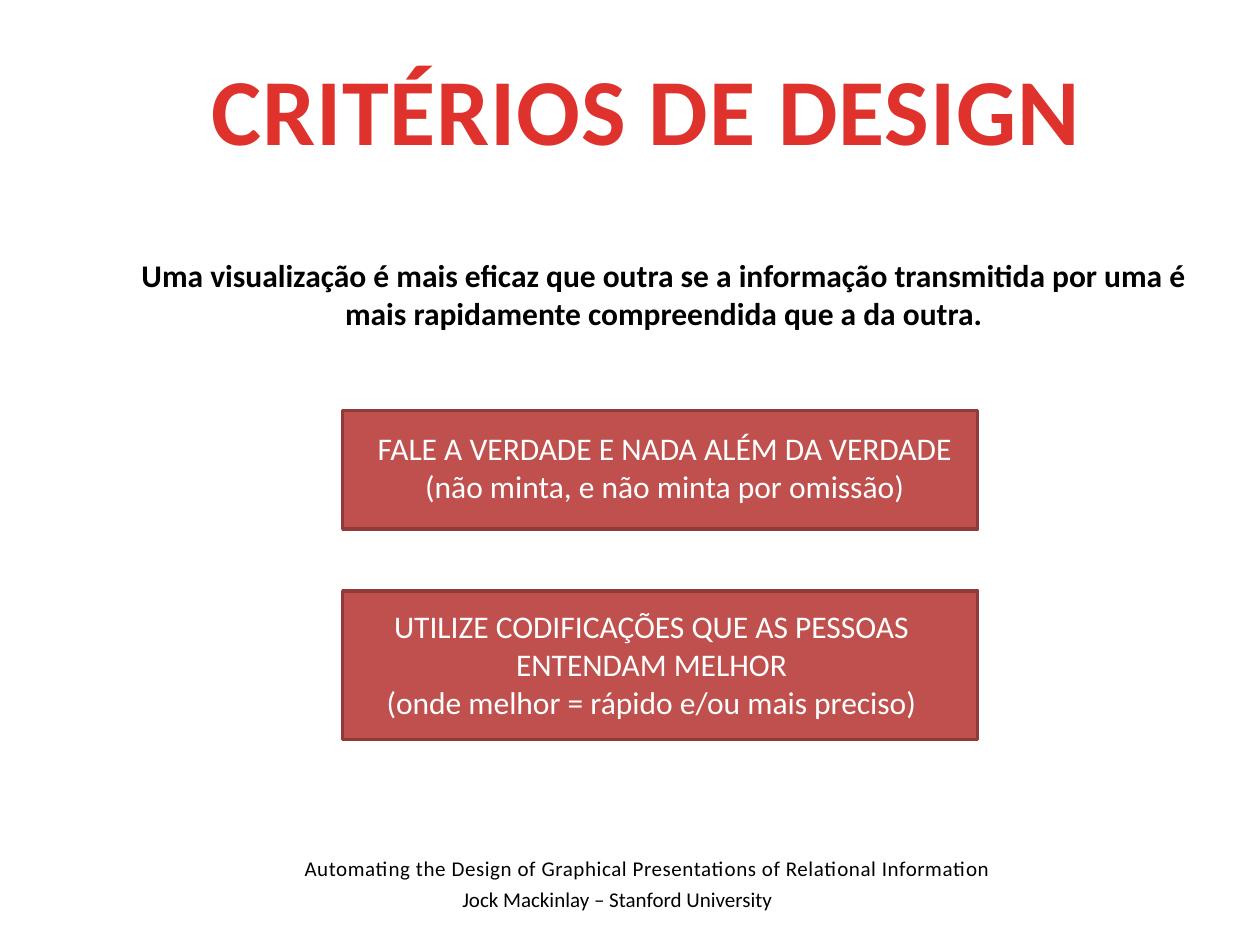
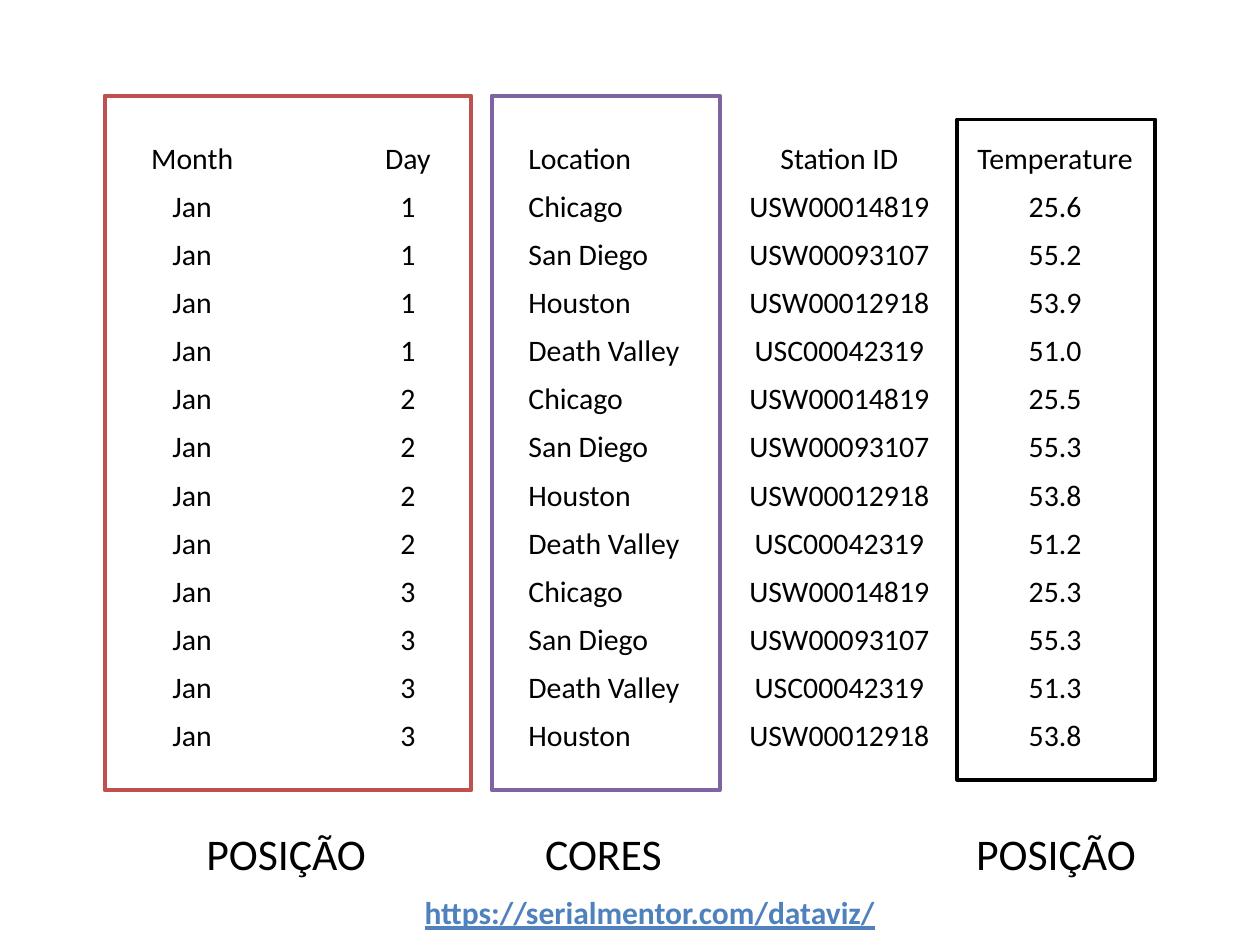
from pptx import Presentation
from pptx.dml.color import RGBColor
from pptx.enum.shapes import MSO_SHAPE as Preset
from pptx.enum.text import MSO_ANCHOR as Anchor, MSO_AUTO_SIZE as AutoSize, PP_ALIGN as Align
from pptx.util import Cm, Pt

BLACK = RGBColor(0x00, 0x00, 0x00)
WHITE = RGBColor(0xFF, 0xFF, 0xFF)
RED = RGBColor(0xC0, 0x50, 0x4D)
DARK_RED = RGBColor(0x8E, 0x3B, 0x39)
PURPLE = RGBColor(0x80, 0x64, 0xA2)
LINK_BLUE = RGBColor(0x4F, 0x81, 0xBD)
TITLE_STOPS = (
    (0.25, RGBColor(0xE0, 0x32, 0x2D)),
    (1.0, RGBColor(0xA2, 0x20, 0x1C)),
)

FONT_NAME = "Calibri"
PLAIN_TABLE_STYLE = "{2D5ABB26-0587-4C30-8999-92F81FD0307C}"

TITLE = dict(size=Pt(54), bold=True)
BODY = dict(size=Pt(18))
STRONG = dict(size=Pt(18), bold=True)
LINK = dict(size=Pt(18), bold=True, underline=True)
CITATION = dict(size=Pt(12))
CELL = dict(size=Pt(17))
LABEL = dict(size=Pt(25))

CARD_LEFT, CARD_WIDTH = 6.91, 12.8
FRAME_TOP, FRAME_HEIGHT = 1.93, 14
LABEL_TOP, LABEL_HEIGHT = 16.54, 1.32
COLUMN_WIDTH, ROW_HEIGHT = 4.35, 0.97

HEADERS = ("Month", "Day", "Location", "Station ID", "Temperature")
STATIONS = {
    "Chicago": "USW00014819",
    "San Diego": "USW00093107",
    "Houston": "USW00012918",
    "Death Valley": "USC00042319",
}
DAILY_TEMPERATURES = (
    {"Chicago": "25.6", "San Diego": "55.2", "Houston": "53.9", "Death Valley": "51.0"},
    {"Chicago": "25.5", "San Diego": "55.3", "Houston": "53.8", "Death Valley": "51.2"},
    {"Chicago": "25.3", "San Diego": "55.3", "Death Valley": "51.3", "Houston": "53.8"},
)


class Deck:
    """Holds the presentation, its text style and the slide being filled."""

    def __init__(self):
        self.presentation = Presentation()
        self.presentation.slide_width = Cm(25.4)
        self.presentation.slide_height = Cm(19.05)
        self.slide = None

    def new_slide(self):
        self.slide = self.presentation.slides.add_slide(self.presentation.slide_layouts[6])

    def fill_frame(self, frame, lines, style, color=BLACK, align=Align.LEFT):
        """Fill a text frame, one paragraph for each line."""
        for index, line in enumerate(lines):
            paragraph = frame.paragraphs[0] if index == 0 else frame.add_paragraph()
            paragraph.alignment = align
            run = paragraph.add_run()
            run.text = line
            run.font.name = FONT_NAME
            for name, value in style.items():
                setattr(run.font, name, value)
            run.font.color.rgb = color

    def text(self, box, lines, style, color=BLACK, align=Align.LEFT, wrap=True, spacing=0):
        """Add a text box; spacing is the letter spacing in points."""
        frame = self.slide.shapes.add_textbox(*map(Cm, box)).text_frame
        frame.word_wrap = wrap
        frame.auto_size = AutoSize.SHAPE_TO_FIT_TEXT
        self.fill_frame(frame, lines, style, color, align)
        if spacing:
            for paragraph in frame.paragraphs:
                for run in paragraph.runs:
                    run.font._element.set("spc", str(round(spacing * 100)))
        return frame

    def title(self, box, line):
        frame = self.text(box, [line], TITLE, align=Align.CENTER, wrap=False, spacing=0.5)
        fill = frame.paragraphs[0].runs[0].font.fill
        fill.gradient()
        fill.gradient_angle = 270
        for stop, (position, color) in zip(fill.gradient_stops, TITLE_STOPS):
            stop.position = position
            stop.color.rgb = color

    def rectangle(self, box, fill, line=None, line_width=2):
        shape = self.slide.shapes.add_shape(Preset.RECTANGLE, *map(Cm, box))
        shape.shadow.inherit = False
        shape.fill.solid()
        shape.fill.fore_color.rgb = fill
        if line is None:
            shape.line.fill.background()
        else:
            shape.line.color.rgb = line
            shape.line.width = Pt(line_width)
        return shape

    def statement(self, box, line):
        frame = self.rectangle(box, WHITE).text_frame
        frame.word_wrap = True
        frame.vertical_anchor = Anchor.MIDDLE
        self.fill_frame(frame, [line], STRONG, align=Align.CENTER)

    def table(self, left, top, rows, left_aligned):
        """Add a table without grid or fill; left_aligned holds column indexes."""
        width, height = COLUMN_WIDTH * len(rows[0]), ROW_HEIGHT * len(rows)
        box = map(Cm, (left, top, width, height))
        table = self.slide.shapes.add_table(len(rows), len(rows[0]), *box).table
        table.first_row = table.horz_banding = False
        table._tbl.tblPr[0].text = PLAIN_TABLE_STYLE
        for column in table.columns:
            column.width = Cm(COLUMN_WIDTH)
        for row_index, row in enumerate(rows):
            table.rows[row_index].height = Cm(ROW_HEIGHT)
            for column_index, value in enumerate(row):
                cell = table.cell(row_index, column_index)
                cell.fill.background()
                cell.vertical_anchor = Anchor.MIDDLE
                cell.margin_top = cell.margin_bottom = Cm(0.12)
                align = Align.LEFT if column_index in left_aligned else Align.CENTER
                self.fill_frame(cell.text_frame, [value], CELL, align=align)


def add_design_criteria(deck):
    deck.new_slide()
    deck.text(
        (5.89, 17.12, 14.4, 0.76),
        ["Automating the Design of Graphical Presentations of Relational Information"],
        CITATION, spacing=0.35,
    )
    deck.text((9.07, 17.75, 6.83, 1.55), ["Jock Mackinlay – Stanford University"], CITATION)
    deck.statement(
        (2.49, 5.13, 21.79, 1.6),
        "Uma visualização é mais eficaz que outra se a informação transmitida por uma é "
        "mais rapidamente compreendida que a da outra.",
    )
    criteria = (
        (8.28, 2.39, (7.29, 8.53, 12.22, 1.8), False,
         ("FALE A VERDADE E NADA ALÉM DA VERDADE", "(não minta, e não minta por omissão)")),
        (11.91, 3, (6.76, 12.12, 12.75, 2.57), True,
         ("UTILIZE CODIFICAÇÕES QUE AS PESSOAS ENTENDAM MELHOR",
          "(onde melhor = rápido e/ou mais preciso)")),
    )
    for top, height, text_box, wrap, lines in criteria:
        deck.rectangle((CARD_LEFT, top, CARD_WIDTH, height), RED, DARK_RED)
        deck.text(text_box, lines, BODY, WHITE, Align.CENTER, wrap)
    deck.title((3.91, 0.91, 18.24, 2.57), "CRITÉRIOS DE DESIGN")


def add_temperature_data(deck):
    deck.new_slide()
    frames = (
        ((9.91, FRAME_TOP, 4.6, FRAME_HEIGHT), PURPLE),
        ((19.3, 2.41, 3.99, 13.31), BLACK),
        ((2.11, FRAME_TOP, 7.39, FRAME_HEIGHT), RED),
    )
    for box, color in frames:
        deck.rectangle(box, WHITE, color, 2.25)

    rows = [HEADERS]
    for day, temperatures in enumerate(DAILY_TEMPERATURES, start=1):
        for location, temperature in temperatures.items():
            rows.append(("Jan", str(day), location, STATIONS[location], temperature))
    deck.table(1.7, 2.72, rows, left_aligned={HEADERS.index("Location")})

    labels = ((3.91, 3.76, "POSIÇÃO"), (19.43, 3.76, "POSIÇÃO"), (10.74, 2.9, "CORES"))
    for left, width, label in labels:
        deck.text((left, LABEL_TOP, width, LABEL_HEIGHT), [label], LABEL, wrap=False)
    deck.text(
        (8.31, 17.88, 9.68, 1.8), ["https://serialmentor.com/dataviz/"],
        LINK, LINK_BLUE, wrap=False,
    )


def main():
    deck = Deck()
    add_design_criteria(deck)
    add_temperature_data(deck)
    deck.presentation.save("out.pptx")


if __name__ == "__main__":
    main()
